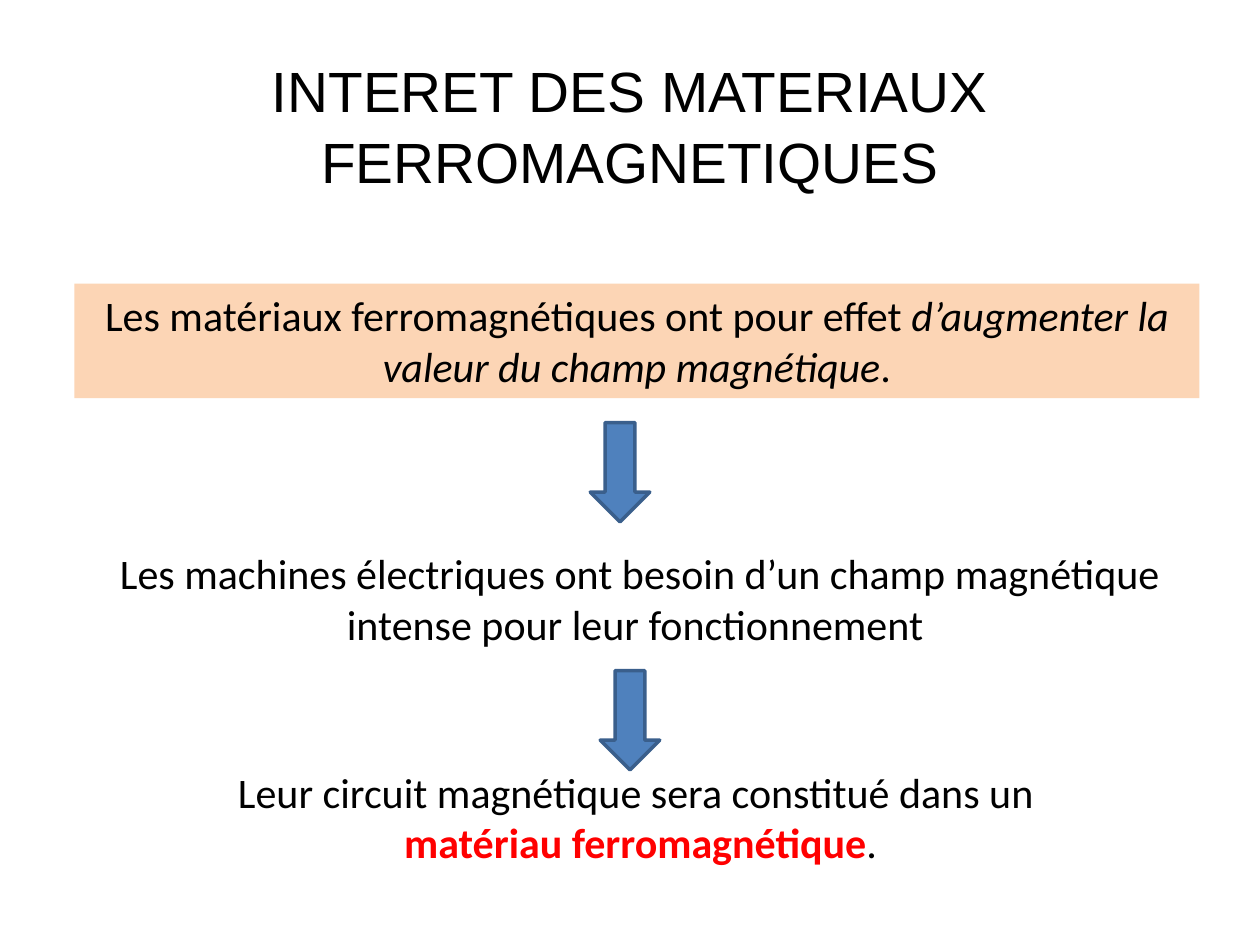
from pptx import Presentation
from pptx.dml.color import RGBColor
from pptx.enum.shapes import MSO_SHAPE
from pptx.enum.text import MSO_ANCHOR, PP_ALIGN
from pptx.util import Cm, Pt

RECT = MSO_SHAPE.RECTANGLE
ARROW = MSO_SHAPE.DOWN_ARROW
MIDDLE = MSO_ANCHOR.MIDDLE
TOP = MSO_ANCHOR.TOP
CENTER = PP_ALIGN.CENTER

BLACK, RED, PEACH = "000000", "FF0000", "FCD5B5"
BLUE, NAVY = "4F81BD", "3A5F8C"
BODY = {"name": "Calibri", "size": Pt(24), "bold": False, "italic": False}
TITLE = {"name": "Arial", "size": Pt(32.4)}


def color(code):
    """Turn a hex string into a colour."""
    return RGBColor.from_string(code)


def apply(item, values):
    """Set each attribute named in a dict."""
    for key, value in values.items():
        setattr(item, key, value)


def add_form(slide, kind, box, fill, line=None):
    """Add a flat preset shape, outlined if a line colour is given."""
    form = slide.shapes.add_shape(kind, *map(Cm, box))
    form.shadow.inherit = False
    form.fill.solid()
    form.fill.fore_color.rgb = color(fill)
    if line:
        form.line.color.rgb = color(line)
        form.line.width = Pt(2)
    else:
        form.line.fill.background()
    return form


def write(shape, lines, base=BODY, anchor=TOP, space=1.0):
    """Write centred lines made of (text, format, colour) runs."""
    frame = shape.text_frame
    apply(frame, {"word_wrap": True, "vertical_anchor": anchor})
    for index, runs in enumerate(lines):
        para = frame.add_paragraph() if index else frame.paragraphs[0]
        apply(para, {"alignment": CENTER, "line_spacing": space})
        for text, extra, code in runs:
            run = para.add_run()
            run.text = text
            apply(run.font, {**base, **extra})
            run.font.color.rgb = color(code)


def add_text(slide, box, lines, **style):
    """Add a text box holding centred lines."""
    write(slide.shapes.add_textbox(*map(Cm, box)), lines, **style)


def main():
    """Build the slide and save it."""
    deck = Presentation()
    apply(deck, {"slide_width": Cm(25.4), "slide_height": Cm(19.05)})
    slide = deck.slides.add_slide(deck.slide_layouts[6])

    add_text(slide, (1.9, 0.91, 21.6, 3.18),
             [[("INTERET DES MATERIAUX FERROMAGNETIQUES", {}, BLACK)]],
             base=TITLE, anchor=MIDDLE, space=1.04)
    add_text(slide, (1.7, 15.32, 22.43, 2.31), [
        [("Leur circuit magnétique sera constitué dans un ", {}, BLACK)],
        [("matériau ferromagnétique", {"bold": True}, RED), (".", {}, BLACK)],
    ])
    band = add_form(slide, RECT, (1.5, 5.72, 22.68, 2.31), PEACH)
    write(band, [[
        ("Les matériaux ferromagnétiques ont pour effet ", {}, BLACK),
        ("d’augmenter la valeur du champ magnétique", {"italic": True}, BLACK),
        (".", {}, BLACK),
    ]])
    add_text(slide, (1.7, 10.92, 22.4, 2.31), [[
        ("Les machines électriques ont besoin d’un champ magnétique "
         "intense pour leur fonctionnement ", {}, BLACK)]])
    for left, top in ((11.9, 8.52), (12.1, 13.52)):
        add_form(slide, ARROW, (left, top, 1.2, 2), BLUE, NAVY)

    deck.save("out.pptx")


if __name__ == "__main__":
    main()
